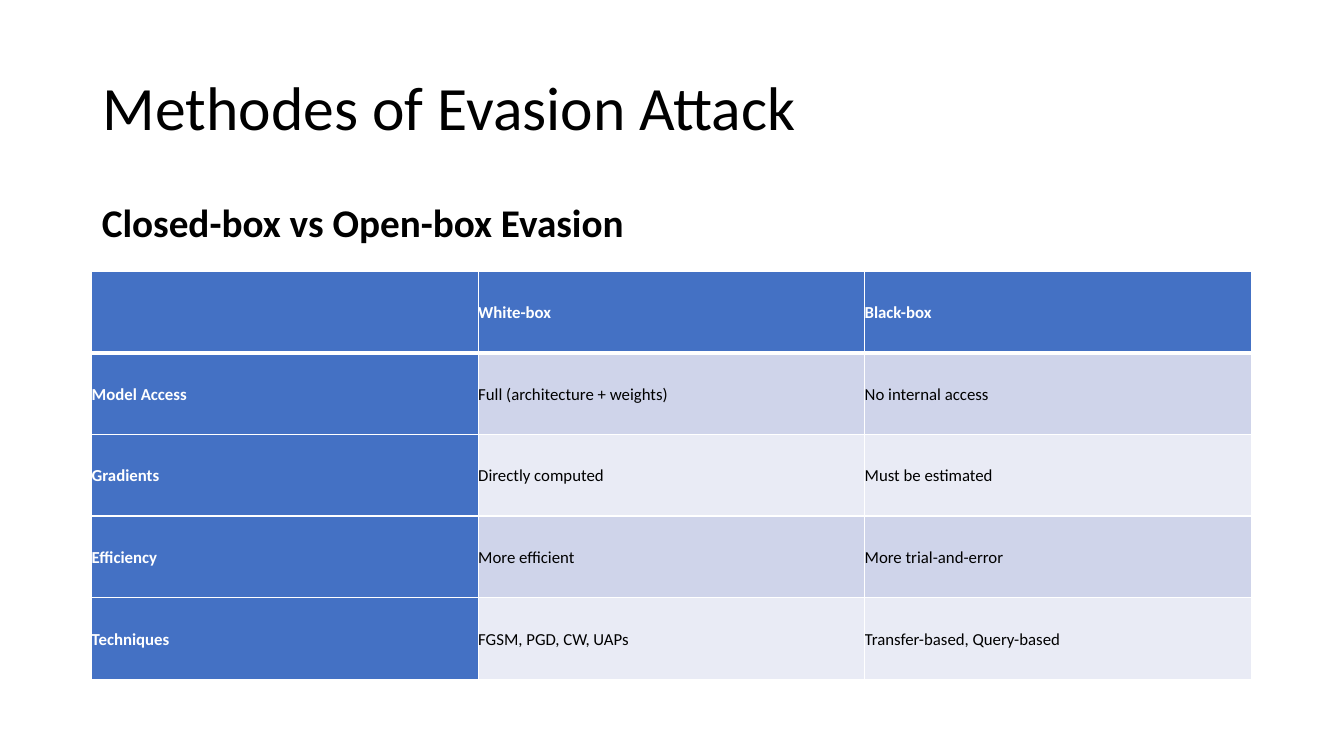
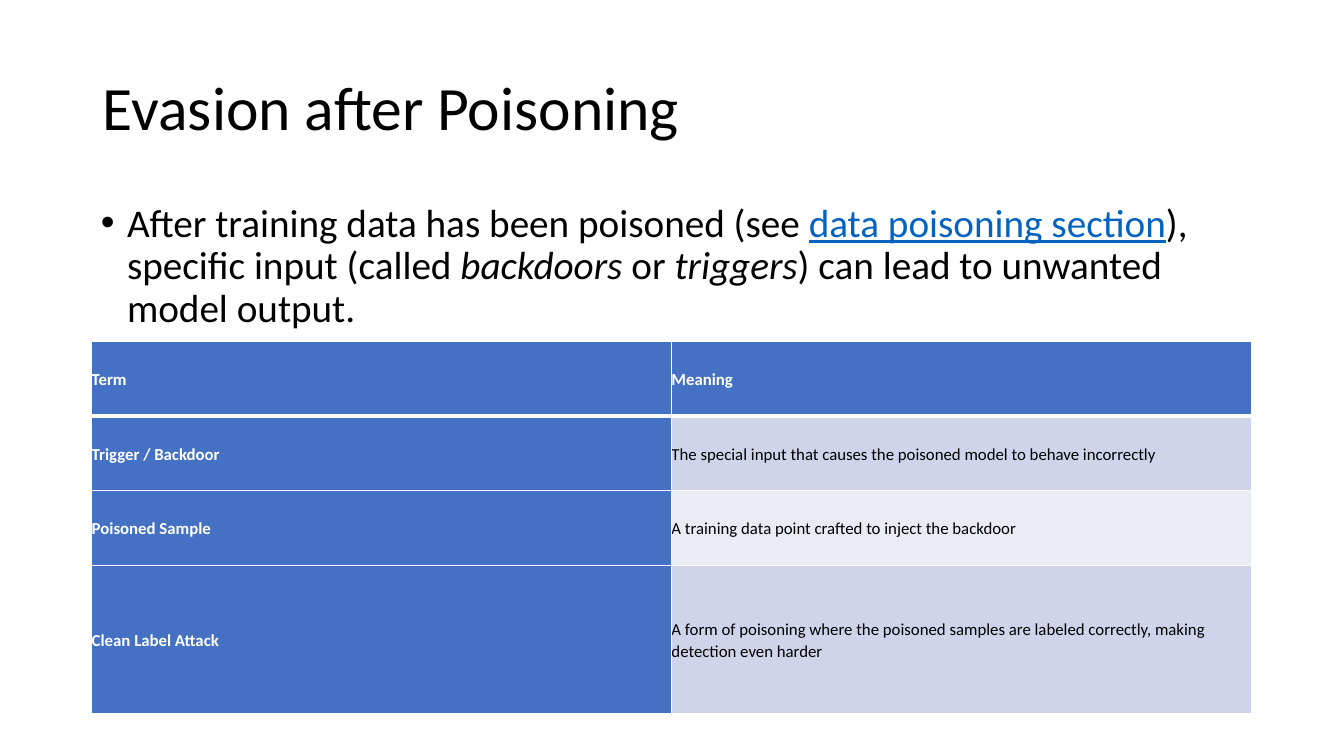
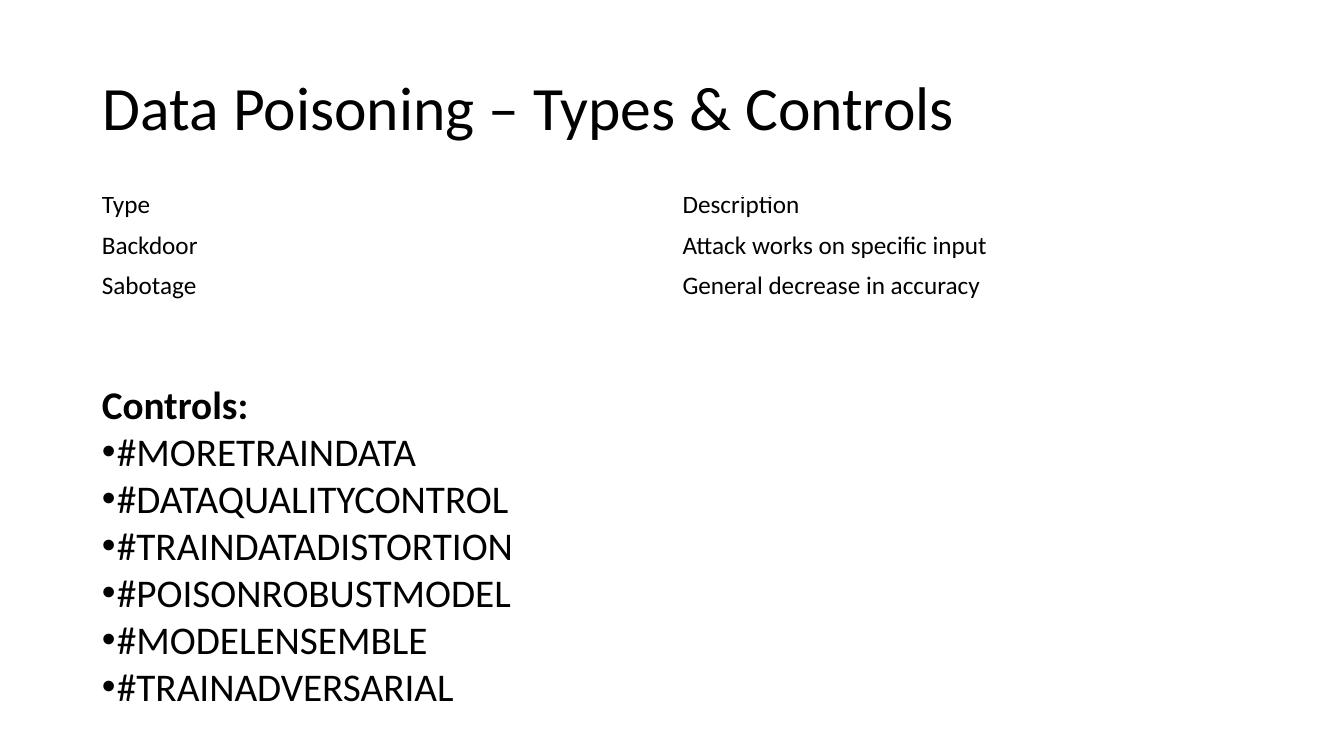
"""Build three slides on evasion attacks and data poisoning."""
from dataclasses import dataclass

from lxml.etree import SubElement
from pptx import Presentation
from pptx.dml.color import RGBColor
from pptx.enum.text import MSO_ANCHOR, MSO_AUTO_SIZE, PP_ALIGN
from pptx.oxml.ns import qn
from pptx.presentation import Presentation as Deck
from pptx.shapes.base import BaseShape
from pptx.slide import Slide
from pptx.table import Table, _Cell
from pptx.text.text import TextFrame, _Paragraph, _Run
from pptx.util import Inches, Length, Pt


@dataclass(frozen=True)
class Theme:
    """Colours and type sizes shared by every slide."""

    font: str = "Calibri"
    ink: str = "000000"
    paper: str = "FFFFFF"
    accent: str = "4471C4"
    bands: tuple[str, str] = ("CFD4EA", "E9EBF5")
    link: str = "0462C1"
    title: float = 44
    body: float = 28
    plain_cell: float = 18
    grid_cell: float = 12


THEME = Theme()


@dataclass(frozen=True)
class Box:
    """Position and size in inches."""

    left: float
    top: float
    width: float
    height: float

    def lengths(self) -> tuple[Length, ...]:
        """Return the four values as lengths."""
        return tuple(Inches(v) for v in (self.left, self.top, self.width, self.height))


@dataclass(frozen=True)
class Span:
    """Stretch of text in one style."""

    text: str
    bold: bool = False
    italic: bool = False
    link: bool = False


@dataclass(frozen=True)
class Para:
    """Body paragraph; a hanging indent carries a bullet."""

    spans: tuple[Span, ...]
    hanging: float = 0
    before: float = 0
    line: float = 1.0


@dataclass(frozen=True)
class Grid:
    """Filled table with a header row and a header column."""

    box: Box
    heights: tuple[float, ...]
    rows: tuple[tuple[str, ...], ...]


TITLE_BOX = Box(0.28, 0.28, 11.73, 1.48)
TITLE_INDENT = 0.74

ACCESS_GRID = Grid(
    Box(0.91, 2.69, 11.5, 4.05),
    (0.81,) * 5,
    (
        ("", "White-box", "Black-box"),
        ("Model Access", "Full (architecture + weights)", "No internal access"),
        ("Gradients", "Directly computed", "Must be estimated"),
        ("Efficiency", "More efficient", "More trial-and-error"),
        ("Techniques", "FGSM, PGD, CW, UAPs", "Transfer-based, Query-based"),
    ),
)

TERM_GRID = Grid(
    Box(0.91, 3.39, 11.5, 3.69),
    (0.74, 0.74, 0.74, 1.47),
    (
        ("Term", "Meaning"),
        ("Trigger / Backdoor", "The special input that causes the poisoned model to behave incorrectly"),
        ("Poisoned Sample", "A training data point crafted to inject the backdoor"),
        (
            "Clean Label Attack",
            "A form of poisoning where the poisoned samples are labeled correctly, "
            "making detection even harder",
        ),
    ),
)

POISONING_TYPES = (
    ("Type", "Description"),
    ("Backdoor", "Attack works on specific input"),
    ("Sabotage", "General decrease in accuracy"),
)

CONTROLS = (
    "#MORETRAINDATA",
    "#DATAQUALITYCONTROL",
    "#TRAINDATADISTORTION",
    "#POISONROBUSTMODEL",
    "#MODELENSEMBLE",
    "#TRAINADVERSARIAL",
)


def style_run(run: _Run, size: float, color: str = THEME.ink, bold: bool = False) -> None:
    """Apply the shared font with a size, colour and weight."""
    run.font.name = THEME.font
    run.font.size = Pt(size)
    run.font.bold = bold
    run.font.color.rgb = RGBColor.from_string(color)


def prepare_placeholder(shape: BaseShape, box: Box, top: float, left: float = 0) -> TextFrame:
    """Move a placeholder and set its insets."""
    shape.left, shape.top, shape.width, shape.height = box.lengths()
    frame = shape.text_frame
    frame.margin_left, frame.margin_top = Inches(left), Inches(top)
    frame.margin_right = frame.margin_bottom = 0
    frame.word_wrap = True
    frame.auto_size = MSO_AUTO_SIZE.NONE
    frame.vertical_anchor = MSO_ANCHOR.TOP
    return frame


def add_page(deck: Deck, title: str) -> Slide:
    """Add a slide with the shared title style."""
    page = deck.slides.add_slide(deck.slide_layouts.get_by_name("Title and Content"))
    frame = prepare_placeholder(page.shapes.title, TITLE_BOX, 0.4, TITLE_INDENT)
    frame.text = title
    para = frame.paragraphs[0]
    para.alignment = PP_ALIGN.LEFT
    style_run(para.runs[0], THEME.title)
    return page


def set_indent(para: _Paragraph, hanging: float) -> None:
    """Set a hanging bullet indent, or remove the bullet when it is zero."""
    properties = para._p.get_or_add_pPr()
    properties.set("marL", str(Inches(hanging)))
    properties.set("indent", str(-Inches(hanging)))
    if not hanging:
        SubElement(properties, qn("a:buNone"))


def fill_body(page: Slide, box: Box, paras: tuple[Para, ...], top: float = 0.01) -> None:
    """Write paragraphs into the body placeholder."""
    frame = prepare_placeholder(page.placeholders[1], box, top)
    for index, content in enumerate(paras):
        para = frame.add_paragraph() if index else frame.paragraphs[0]
        para.space_before = Pt(content.before)
        para.line_spacing = content.line
        set_indent(para, content.hanging)
        for span in content.spans:
            run = para.add_run()
            run.text = span.text
            style_run(run, THEME.body, THEME.link if span.link else THEME.ink, span.bold)
            run.font.italic = span.italic
            run.font.underline = span.link


def add_border(cell: _Cell, side: str, width: float) -> None:
    """Draw one white cell border."""
    line = SubElement(cell._tc.get_or_add_tcPr(), qn(f"a:ln{side}"), w=str(Pt(width)))
    fill = SubElement(line, qn("a:solidFill"))
    SubElement(fill, qn("a:srgbClr"), val=THEME.paper)


def add_bare_table(page: Slide, box: Box, widths: tuple[float, ...], heights: tuple[float, ...]) -> Table:
    """Add a table without header or banding effects."""
    table = page.shapes.add_table(len(heights), len(widths), *box.lengths()).table
    table.first_row = table.horz_banding = False
    for column, width in zip(table.columns, widths):
        column.width = Inches(width)
    for row, height in zip(table.rows, heights):
        row.height = Inches(height)
    return table


def fill_cell(cell: _Cell, text: str, size: float, color: str, bold: bool) -> _Paragraph:
    """Write styled text into a cell without insets."""
    cell.margin_left = cell.margin_right = cell.margin_top = cell.margin_bottom = 0
    cell.text_frame.text = text
    para = cell.text_frame.paragraphs[0]
    for run in para.runs:
        style_run(run, size, color, bold)
    return para


def add_grid(page: Slide, grid: Grid) -> None:
    """Draw a filled table with white rules."""
    count = len(grid.rows[0])
    table = add_bare_table(page, grid.box, (grid.box.width / count,) * count, grid.heights)
    for row, texts in enumerate(grid.rows):
        for column, text in enumerate(texts):
            cell = table.cell(row, column)
            header = row == 0 or column == 0
            para = fill_cell(cell, text, THEME.grid_cell, THEME.paper if header else THEME.ink, header)
            para.line_spacing = 1.1
            cell.vertical_anchor = MSO_ANCHOR.MIDDLE
            add_border(cell, "L", 1)
            add_border(cell, "R", 1)
            add_border(cell, "T", 3 if row == 1 else 1)
            add_border(cell, "B", 3 if row == 0 else 1)
            cell.fill.solid()
            color = THEME.accent if header else THEME.bands[(row - 1) % 2]
            cell.fill.fore_color.rgb = RGBColor.from_string(color)


def add_types_table(page: Slide) -> None:
    """Draw the unfilled table of poisoning types."""
    table = add_bare_table(page, Box(0.98, 1.95, 8.84, 1.05), (3.39, 5.45), (0.32, 0.4, 0.33))
    line_spacings = (Pt(17.1), 1.0, Pt(21.5))
    for row, (texts, spacing) in enumerate(zip(POISONING_TYPES, line_spacings)):
        for column, (text, indent) in enumerate(zip(texts, (0.03, 2.4))):
            cell = table.cell(row, column)
            para = fill_cell(cell, text, THEME.plain_cell, THEME.ink, False)
            para.line_spacing = spacing
            cell.margin_left = Inches(indent)
            cell.margin_top = Inches(0.02 if row else 0)
            cell.fill.background()


def build_methods(deck: Deck) -> None:
    """Compare closed-box and open-box evasion."""
    page = add_page(deck, "Methodes of Evasion Attack")
    heading = Para((Span("Closed-box vs Open-box Evasion", bold=True),), before=1.1)
    fill_body(page, Box(1.01, 1.96, 5.4, 0.5), (heading,))
    add_grid(page, ACCESS_GRID)


def build_evasion(deck: Deck) -> None:
    """Explain evasion after poisoning."""
    page = add_page(deck, "Evasion after Poisoning")
    spans = (
        Span("After training data has been poisoned (see "),
        Span("data poisoning section", link=True),
        Span("), specific input (called "),
        Span("backdoors", italic=True),
        Span(" or "),
        Span("triggers", italic=True),
        Span(") can lead to unwanted model output."),
    )
    fill_body(page, Box(1, 1.96, 10.9, 1.34), (Para(spans, 0.26, 4.4, 0.9),), 0.06)
    add_grid(page, TERM_GRID)


def build_controls(deck: Deck) -> None:
    """List poisoning types and their controls."""
    page = add_page(deck, "Data Poisoning – Types & Controls")
    add_types_table(page)
    heading = Para((Span("Controls:", bold=True),), before=1.1)
    bullets = tuple(Para((Span(text),), 0.15) for text in CONTROLS)
    fill_body(page, Box(1.01, 3.76, 4.3, 3.3), (heading, *bullets))


def main() -> None:
    """Build and save the deck."""
    deck = Presentation()
    deck.slide_width, deck.slide_height = Inches(13.33), Inches(7.5)
    for build in (build_methods, build_evasion, build_controls):
        build(deck)
    deck.save("out.pptx")


if __name__ == "__main__":
    main()
